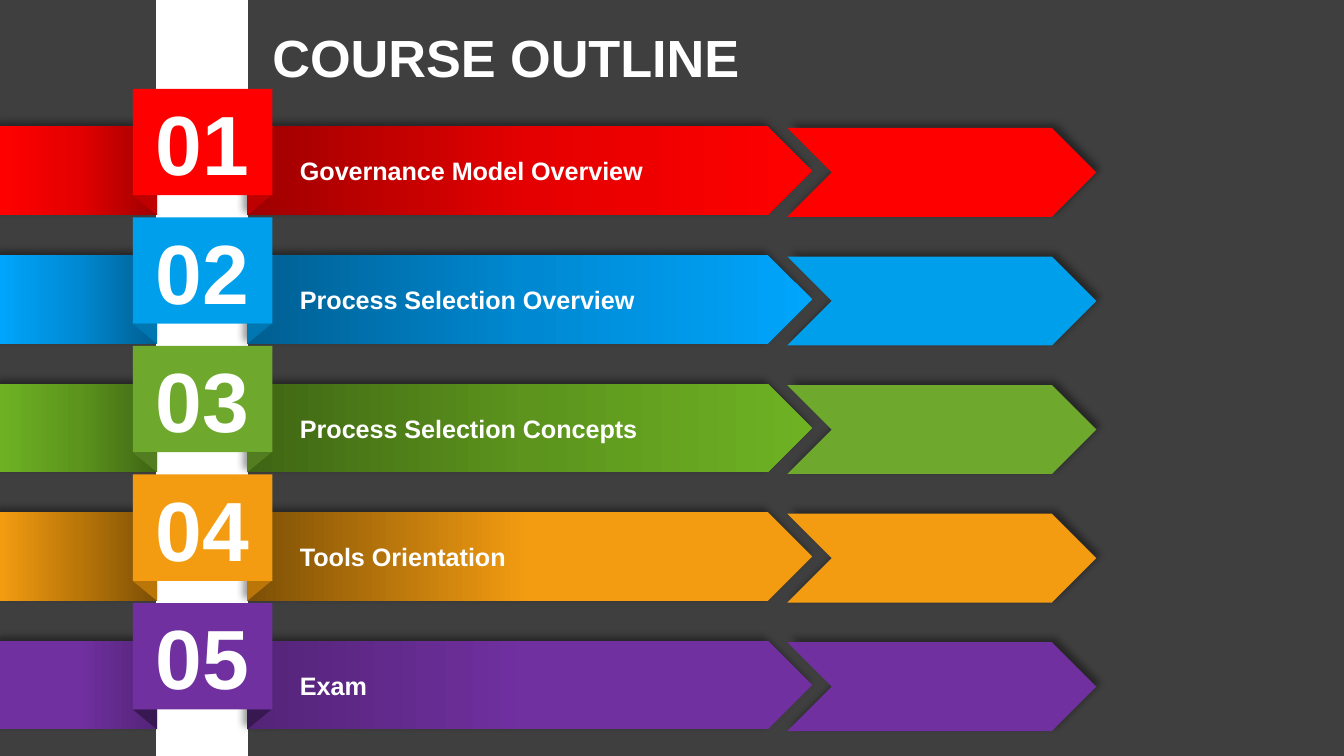
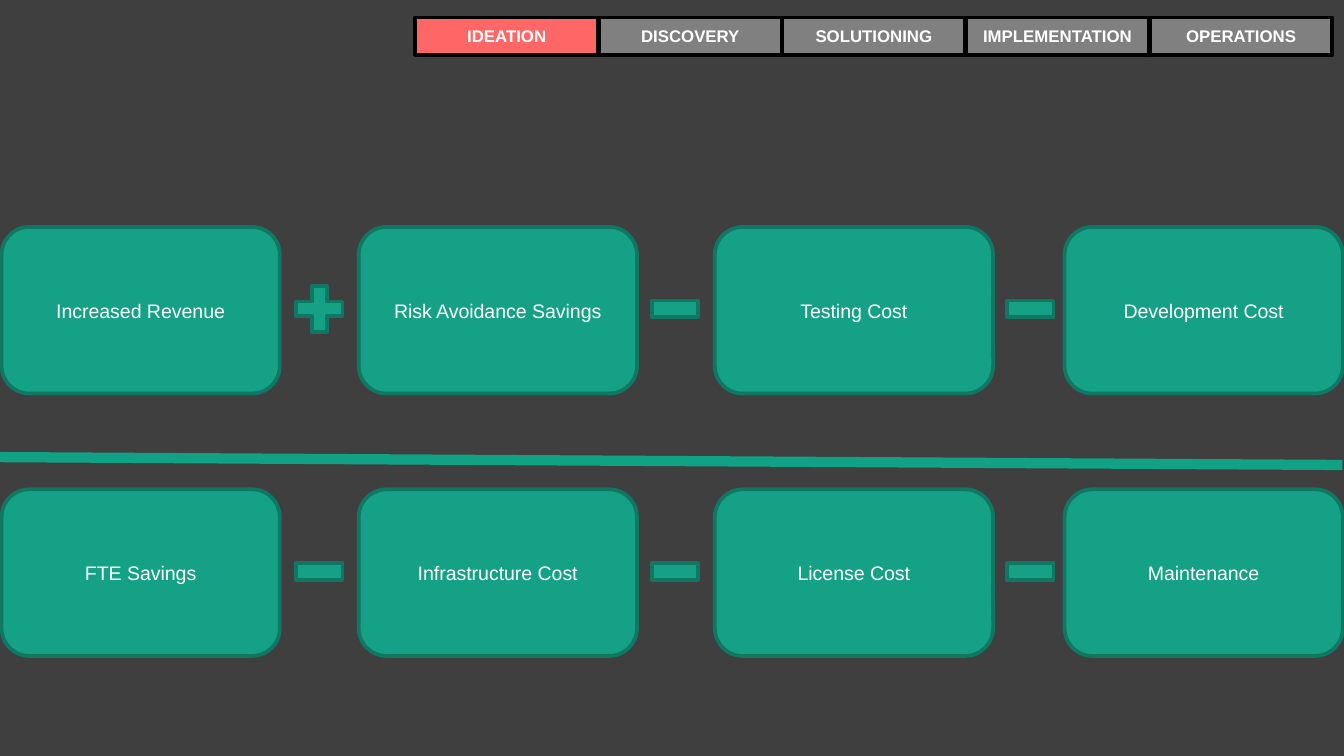
"""Build a course outline slide and a benefit formula slide."""
from typing import NamedTuple

from lxml import etree
from pptx import Presentation, util as u
from pptx.dml.color import RGBColor
from pptx.enum import shapes, text
from pptx.oxml import ns

SHAPE = shapes.MSO_SHAPE
BACKDROP = RGBColor(0x3F, 0x3F, 0x3F)
WHITE = RGBColor(0xFF, 0xFF, 0xFF)
BLACK = RGBColor(0x00, 0x00, 0x00)
GREY = RGBColor(0x80, 0x80, 0x80)
CORAL = RGBColor(0xFF, 0x66, 0x66)
TEAL = RGBColor(0x15, 0xA1, 0x86)
TEAL_EDGE = RGBColor(0x10, 0x77, 0x63)
TEAL_RULE = RGBColor(0x11, 0xA1, 0x85)
RED = RGBColor(0xFF, 0x00, 0x00)
BLUE = RGBColor(0x00, 0x9F, 0xEB)
GREEN = RGBColor(0x6E, 0xA9, 0x2D)
ORANGE = RGBColor(0xF3, 0x9C, 0x11)
ORANGE_FOLD = RGBColor(0xBA, 0x76, 0x09)
ORANGE_DARK = RGBColor(0x7C, 0x4F, 0x06)
PURPLE = RGBColor(0x70, 0x30, 0xA0)
PURPLE_DARK = RGBColor(0x54, 0x24, 0x78)
RED_FADE = (RGBColor(0x9E, 0x00, 0x00), RGBColor(0xE4, 0x00, 0x00), RED)
BLUE_FADE = (RGBColor(0x00, 0x5E, 0x91), RGBColor(0x00, 0x89, 0xD2), RGBColor(0x00, 0xA5, 0xFC))
GREEN_FADE = (RGBColor(0x3F, 0x66, 0x14), RGBColor(0x5C, 0x94, 0x1D), RGBColor(0x6E, 0xB2, 0x23))
PURPLE_FADE = (PURPLE_DARK, PURPLE, PURPLE)

TITLE_FONT = {"name": "Arial", "size": u.Pt(28), "bold": True}
NUMBER_FONT = {"name": "Arial", "size": u.Pt(45), "bold": True}
TOPIC_FONT = {"name": "Arial", "size": u.Pt(13.5), "bold": True}
TAB_FONT = {"name": "Arial", "size": u.Pt(9), "bold": True}
CARD_FONT = {"name": "Arial", "size": u.Pt(10.5), "bold": False}
TIGHT = {"margin_left": u.Cm(0.18), "margin_right": u.Cm(0.18),
         "margin_top": u.Cm(0.1), "margin_bottom": u.Cm(0.1)}
INDENTED = {**TIGHT, "margin_left": u.Cm(1)}
ROOMY = {f"margin_{side}": u.Cm(0.25) for side in ("left", "right", "top", "bottom")}


class Box(NamedTuple):
    """A rectangle in centimetres."""
    left: float
    top: float
    width: float
    height: float

    def lengths(self):
        """Return the four values as slide lengths."""
        return [u.Cm(value) for value in self]

    def inner(self, left, top, width, height):
        """Return a box placed relative to this one."""
        return Box(self.left + left, self.top + top, width, height)


class Course(NamedTuple):
    """One row of the outline and its colours."""
    topic: str
    face: RGBColor
    fold: RGBColor
    fade: tuple
    side_fade: tuple


COURSES = [
    Course("Governance Model Overview", RED, RGBColor(0xBF, 0x00, 0x00), RED_FADE, RED_FADE),
    Course("Process Selection Overview", BLUE, RGBColor(0x00, 0x77, 0xB0), BLUE_FADE, BLUE_FADE),
    Course("Process Selection Concepts", GREEN, RGBColor(0x52, 0x7E, 0x21), GREEN_FADE, GREEN_FADE),
    Course("Tools Orientation", ORANGE, ORANGE_FOLD,
           (ORANGE_DARK, ORANGE, ORANGE), (ORANGE_DARK, ORANGE_FOLD, ORANGE)),
    Course("Exam", PURPLE, RGBColor(0x38, 0x18, 0x50), PURPLE_FADE, PURPLE_FADE),
]
STAGES = ["IDEATION", "DISCOVERY", "SOLUTIONING", "IMPLEMENTATION", "OPERATIONS"]
GAINS = ["Increased Revenue", "Risk Avoidance Savings", "Testing Cost", "Development Cost"]
COSTS = ["FTE Savings", "Infrastructure Cost", "License Cost", "Maintenance"]


def set_all(target, formats):
    """Set every attribute named in a dict of format values."""
    for name, value in formats.items():
        setattr(target, name, value)


def add_node(parent, tag, **values):
    """Append an XML element with the given attributes."""
    node = etree.SubElement(parent, ns.qn(tag))
    for name, value in values.items():
        node.set(name, str(value))
    return node


def write(shape, words, font, align=text.PP_ALIGN.CENTER, anchor=text.MSO_ANCHOR.MIDDLE, frame=None):
    """Put one white formatted line of text in a shape."""
    set_all(shape.text_frame, {"word_wrap": True, "vertical_anchor": anchor, **(frame or {})})
    para = shape.text_frame.paragraphs[0]
    para.alignment = align
    span = para.add_run()
    span.text = words
    set_all(span.font, font)
    span.font.color.rgb = WHITE


def add_block(page, kind, box, fill, edge=None, width=2):
    """Add a flat shape with an optional outline."""
    shape = page.shapes.add_shape(kind, *box.lengths())
    shape.shadow.inherit = False
    shape.fill.solid()
    shape.fill.fore_color.rgb = fill
    if edge is None:
        shape.line.fill.background()
    else:
        shape.line.color.rgb = edge
        shape.line.width = u.Pt(width)
    return shape


def cast_shadow(shape, degrees):
    """Give a shape a soft black shadow in one direction."""
    effects = shape.element.spPr.find(ns.qn("a:effectLst"))
    shadow = add_node(effects, "a:outerShdw", blurRad=u.Pt(4), dist=u.Pt(3),
                      dir=degrees * 60000, algn="ctr", rotWithShape=0)
    add_node(add_node(shadow, "a:srgbClr", val=BLACK), "a:alpha", val=40000)


def fade_fill(shape, colours, degrees):
    """Fill a shape with an evenly spaced linear gradient."""
    shape.fill.gradient()
    gradient = shape.element.spPr.find(ns.qn("a:gradFill"))
    for child in list(gradient):
        gradient.remove(child)
    stops = add_node(gradient, "a:gsLst")
    for index, colour in enumerate(colours):
        stop = add_node(stops, "a:gs", pos=index * 50000)
        add_node(stop, "a:srgbClr", val=colour)
    add_node(gradient, "a:lin", ang=degrees * 60000, scaled=0)


def add_page(deck):
    """Add a blank page with the shared dark background."""
    page = deck.slides.add_slide(deck.slide_layouts[6])
    page.background.fill.solid()
    page.background.fill.fore_color.rgb = BACKDROP
    return page


def course_row(page, box, number, course):
    """Draw a ribbon with its folds, number badge and chevron."""
    ribbon = add_block(page, SHAPE.PENTAGON, box.inner(4.67, 0.71, 10.67, 1.68), course.face)
    tail = add_block(page, SHAPE.RECTANGLE, box.inner(0, 0.71, 2.97, 1.68), course.face)
    for shape, colours, degrees in ((ribbon, course.fade, 0), (tail, course.side_fade, 180)):
        fade_fill(shape, colours, degrees)
        cast_shadow(shape, 225)
    write(ribbon, course.topic, TOPIC_FONT, text.PP_ALIGN.LEFT, frame=INDENTED)
    for left, flipped in ((4.67, 1), (2.51, 0)):
        fold = add_block(page, SHAPE.RIGHT_TRIANGLE, box.inner(left, 2.01, 0.46, 0.38), course.fold)
        fold.rotation = 180
        fold.element.spPr.get_or_add_xfrm().set("flipH", str(flipped))
    badge = add_block(page, SHAPE.RECTANGLE, box.inner(2.51, 0, 2.64, 2.01), course.face)
    write(badge, f"{number:02}", NUMBER_FONT, frame=TIGHT)
    chevron = add_block(page, SHAPE.CHEVRON, box.inner(14.88, 0.74, 5.84, 1.68), course.face)
    cast_shadow(chevron, 315)


def outline_page(deck):
    """Build the course outline."""
    page = add_page(deck)
    add_block(page, SHAPE.RECTANGLE, Box(2.97, 0, 1.7, 14.29), WHITE, WHITE, 1)
    for index, course in enumerate(COURSES):
        course_row(page, Box(0, 1.68 + 2.43 * index, 20.72, 2.42), index + 1, course)
    title = page.shapes.add_textbox(*Box(4.9, 0.23, 23.67, 1.6).lengths())
    write(title, "COURSE OUTLINE", TITLE_FONT, text.PP_ALIGN.LEFT, text.MSO_ANCHOR.TOP, ROOMY)


def stage_tabs(page, box, current):
    """Draw the row of stages with the current one highlighted."""
    pitch = box.width / len(STAGES)
    for index, stage in enumerate(STAGES):
        fill = CORAL if stage == current else GREY
        tab = add_block(page, SHAPE.RECTANGLE, box.inner(pitch * index, 0, 3.45, box.height), fill, BLACK)
        write(tab, stage, TAB_FONT)


def formula_row(page, box, terms, signs):
    """Draw a row of term cards joined by plus and minus signs."""
    for left, term in zip((0, 6.75, 13.48, 20.09), terms):
        card = add_block(page, SHAPE.ROUNDED_RECTANGLE, box.inner(left, 0, 5.26, box.height), TEAL, TEAL_EDGE)
        write(card, term, CARD_FONT)
    for index, sign in enumerate(signs):
        height = 1.19 if sign == SHAPE.MATH_PLUS else 1.35
        place = box.inner(5.41 + 6.72 * index, 1.55 - height / 2, 1.19, height)
        add_block(page, sign, place, TEAL, TEAL_EDGE)


def formula_page(deck):
    """Build the benefit formula."""
    page = add_page(deck)
    minus = SHAPE.MATH_MINUS
    formula_row(page, Box(0.03, 9.25, 25.35, 3.15), COSTS, [minus] * 3)
    ends = [u.Cm(value) for value in (0, 8.64, 25.37, 8.79)]
    rule = page.shapes.add_connector(shapes.MSO_CONNECTOR.STRAIGHT, *ends)
    rule.line.color.rgb = TEAL_RULE
    rule.line.width = u.Pt(5.5)
    add_node(rule._element.spPr, "a:effectLst")
    formula_row(page, Box(0.03, 4.29, 25.35, 3.15), GAINS, [SHAPE.MATH_PLUS, minus, minus])
    stage_tabs(page, Box(7.85, 0.33, 17.35, 0.71), "IDEATION")


def main():
    """Build and save the deck."""
    deck = Presentation()
    set_all(deck, {"slide_width": u.Cm(25.4), "slide_height": u.Cm(14.29)})
    outline_page(deck)
    formula_page(deck)
    deck.save("out.pptx")


if __name__ == "__main__":
    main()
